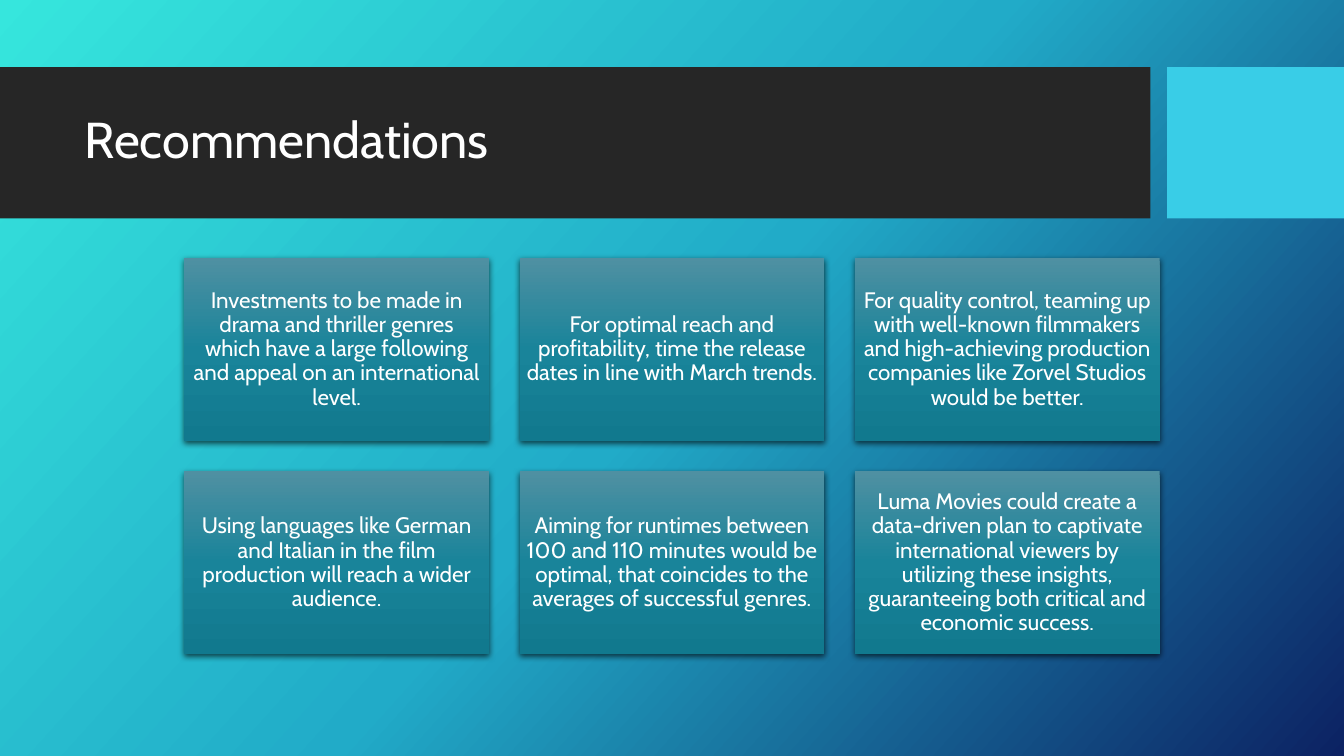
from pptx import Presentation
from pptx.dml.color import RGBColor
from pptx.enum.shapes import MSO_SHAPE as Preset
from pptx.enum.text import MSO_ANCHOR as Anchor, MSO_AUTO_SIZE as AutoSize, PP_ALIGN as Align
from pptx.oxml import parse_xml
from pptx.oxml.ns import nsdecls
from pptx.util import Pt

TITLE = "Recommendations"
RECOMMENDATIONS = [
    "Investments to be made in drama and thriller genres which have a large following "
    "and appeal on an international level.",
    "For optimal reach and profitability, time the release dates in line with March trends.",
    "For quality control, teaming up with well-known filmmakers and high-achieving "
    "production companies like Zorvel Studios would be better.",
    "Using languages like German and Italian in the film production will reach a wider audience.",
    "Aiming for runtimes between 100 and 110 minutes would be optimal, that coincides "
    "to the averages of successful genres.",
    "Luma Movies could create a data-driven plan to captivate international viewers by "
    "utilizing these insights, guaranteeing both critical and economic success.",
]
COLORS = {"band": "262626", "accent": "39CDE7", "text": "FFFFFF", "shadow": "000000"}
BACKGROUND_STOPS = [(0, "36E6DD"), (50, "21ABC8"), (100, "0C2263")]
CARD_STOPS = [(0, "4F90A2"), (50, "19849A"), (100, "11798E")]
FONT = "Cabin"
SLIDE_WIDTH, SLIDE_HEIGHT = 960, 540
BAND_TOP, BAND_HEIGHT = 48, 108
BAND_WIDTH, ACCENT_LEFT = 821.8, 833.6
TITLE_BOX = (53.3, 59, 756.7, 85)
COLUMNS = 3
GRID_LEFT, GRID_TOP = 131.6, 184.3
CARD_WIDTH, CARD_HEIGHT, GAP = 217.8, 130.7, 21.7


def set_gradient(fill, element, stops, angle):
    fill.gradient()
    gradient = element.xpath(".//a:gradFill")[0]
    for child in list(gradient):
        gradient.remove(child)
    stop_xml = "".join(
        f'<a:gs pos="{position * 1000}"><a:srgbClr val="{color}"/></a:gs>'
        for position, color in stops
    )
    gradient.append(parse_xml(f'<a:gsLst {nsdecls("a")}>{stop_xml}</a:gsLst>'))
    gradient.append(parse_xml(f'<a:lin {nsdecls("a")} ang="{angle * 60000}" scaled="0"/>'))


def add_shadow(shape):
    effects = shape.element.spPr.xpath("./a:effectLst")[0]
    effects.append(parse_xml(
        f'<a:outerShdw {nsdecls("a")} blurRad="{Pt(4.5)}" dist="{Pt(1.5)}" dir="5400000" '
        f'algn="ctr" rotWithShape="0"><a:srgbClr val="{COLORS["shadow"]}">'
        '<a:alpha val="63000"/></a:srgbClr></a:outerShdw>'
    ))


def add_rectangle(slide, left, top, width, height):
    shape = slide.shapes.add_shape(Preset.RECTANGLE, Pt(left), Pt(top), Pt(width), Pt(height))
    shape.shadow.inherit = False
    shape.line.fill.background()
    return shape


def write_text(shape, text, size, alignment):
    frame = shape.text_frame
    frame.word_wrap = True
    frame.auto_size = AutoSize.NONE
    frame.vertical_anchor = Anchor.MIDDLE
    paragraph = frame.paragraphs[0]
    paragraph.alignment = alignment
    paragraph.line_spacing = 0.9
    run = paragraph.add_run()
    run.text = text
    run.font.name = FONT
    run.font.size = Pt(size)
    run.font.color.rgb = RGBColor.from_string(COLORS["text"])


def add_card(slide, index, text):
    row, column = divmod(index, COLUMNS)
    left = GRID_LEFT + column * (CARD_WIDTH + GAP)
    top = GRID_TOP + row * (CARD_HEIGHT + GAP)
    card = add_rectangle(slide, left, top, CARD_WIDTH, CARD_HEIGHT)
    set_gradient(card.fill, card.element, CARD_STOPS, 90)
    add_shadow(card)
    frame = card.text_frame
    frame.margin_left = frame.margin_right = Pt(4.8)
    frame.margin_top = frame.margin_bottom = Pt(4.8)
    write_text(card, text, 16, Align.CENTER)


def main():
    presentation = Presentation()
    presentation.slide_width, presentation.slide_height = Pt(SLIDE_WIDTH), Pt(SLIDE_HEIGHT)
    slide = presentation.slides.add_slide(presentation.slide_layouts[5])
    set_gradient(slide.background.fill, slide.element, BACKGROUND_STOPS, 42)

    bands = [(0, BAND_WIDTH, "band"), (ACCENT_LEFT, SLIDE_WIDTH - ACCENT_LEFT, "accent")]
    for left, width, color in bands:
        band = add_rectangle(slide, left, BAND_TOP, width, BAND_HEIGHT)
        band.fill.solid()
        band.fill.fore_color.rgb = RGBColor.from_string(COLORS[color])

    title = slide.shapes.title
    title.left, title.top, title.width, title.height = map(Pt, TITLE_BOX)
    write_text(title, TITLE, 36, Align.LEFT)
    band.element.addnext(title.element)

    for index, text in enumerate(RECOMMENDATIONS):
        add_card(slide, index, text)

    presentation.save("out.pptx")


if __name__ == "__main__":
    main()
